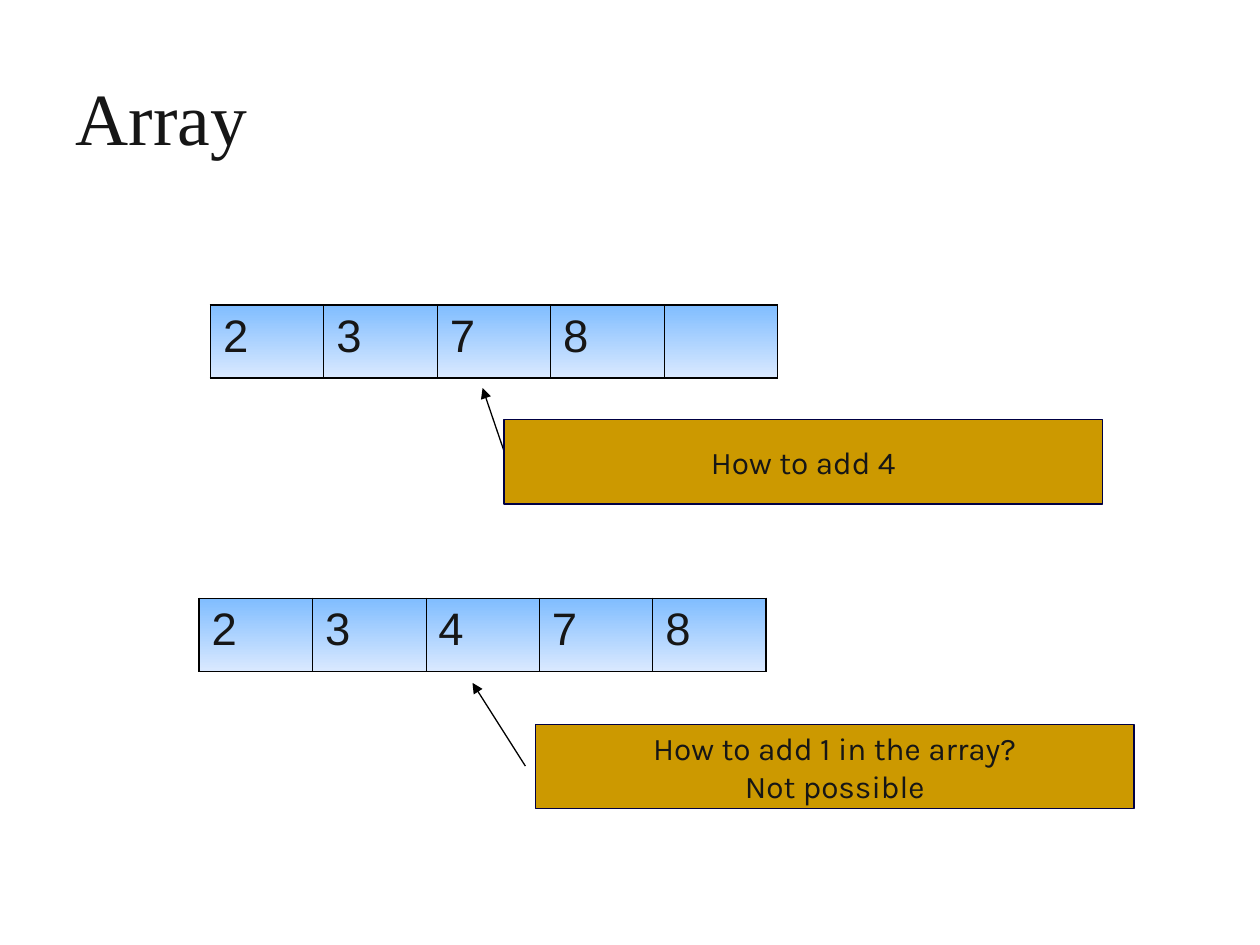
from dataclasses import dataclass

from lxml.etree import SubElement
from pptx import Presentation
from pptx.dml.color import RGBColor
from pptx.enum.shapes import MSO_CONNECTOR as Connector, MSO_SHAPE as Preset
from pptx.enum.text import MSO_ANCHOR as Anchor, PP_ALIGN as Align
from pptx.oxml import parse_xml
from pptx.oxml.ns import nsdecls, qn
from pptx.slide import Slide
from pptx.util import Inches, Pt


@dataclass(frozen=True)
class Theme:
    """Colours, fonts and sizes in points."""
    ink: str = "161616"
    line: str = "000000"
    cell_top: str = "80BDFF"
    cell_bottom: str = "DAE9FF"
    callout: str = "CC9900"
    callout_line: str = "000043"
    title_font: str = "Times New Roman"
    cell_font: str = "Arial"
    callout_font: str = "Karla"
    title_size: float = 42
    cell_size: float = 26
    callout_size: float = 18
    thin: float = 0.74
    inner_border: float = 0.45
    outer_border: float = 1.08


@dataclass(frozen=True)
class ArrayStep:
    """One array with its arrow and callout; lengths in inches."""
    values: tuple[str, ...]
    array_at: tuple[float, float]
    arrow_from: tuple[float, float]
    arrow_to: tuple[float, float]
    callout_at: tuple[float, float]
    callout_text: str


THEME = Theme()
CELL_WIDTH, CELL_HEIGHT = 0.9, 0.58
CALLOUT_WIDTH, CALLOUT_HEIGHT = 4.75, 0.67
STEPS = (
    ArrayStep(("2", "3", "7", "8", ""), (1.67, 2.42), (4, 3.58), (3.83, 3.08),
              (4, 3.33), "How to add 4"),
    ArrayStep(("2", "3", "4", "7", "8"), (1.58, 4.75), (4.17, 6.08), (3.75, 5.42),
              (4.25, 5.75), "How to add 1 in the array?\nNot possible"),
)


def rgb(code: str) -> RGBColor:
    """Turn a hex code into a colour."""
    return RGBColor.from_string(code)


def format_text(text_frame, font_name: str, size: float, align: Align) -> None:
    """Format every paragraph and run of a text frame."""
    for paragraph in text_frame.paragraphs:
        paragraph.alignment = align
        for run in paragraph.runs:
            run.font.name = font_name
            run.font.size = Pt(size)
            run.font.bold = False
            run.font.color.rgb = rgb(THEME.ink)


def add_title(slide: Slide, text: str) -> None:
    """Fill and place the title placeholder."""
    title = slide.shapes.title
    title.left, title.top = Inches(0.5), Inches(0.3)
    title.width, title.height = Inches(9), Inches(1.25)
    title.text_frame.text = text
    title.text_frame.vertical_anchor = Anchor.MIDDLE
    format_text(title.text_frame, THEME.title_font, THEME.title_size, Align.LEFT)


def set_borders(cell, is_first: bool, is_last: bool) -> None:
    """Draw the cell borders, heavier on the outside of the array."""
    properties = cell._tc.get_or_add_tcPr()
    sides = (("L", is_first), ("R", is_last), ("T", True), ("B", True))
    for index, (side, is_outer) in enumerate(sides):
        width = Pt(THEME.outer_border if is_outer else THEME.inner_border)
        properties.insert(index, parse_xml(
            f'<a:ln{side} {nsdecls("a")} w="{width}"><a:solidFill>'
            f'<a:srgbClr val="{THEME.line}"/></a:solidFill></a:ln{side}>'))


def add_array(slide: Slide, step: ArrayStep) -> None:
    """Add the array as a table of one row."""
    count = len(step.values)
    left, top = map(Inches, step.array_at)
    table = slide.shapes.add_table(1, count, left, top, Inches(CELL_WIDTH * count),
                                   Inches(CELL_HEIGHT)).table
    table.first_row = table.horz_banding = False
    for index, value in enumerate(step.values):
        cell = table.cell(0, index)
        cell.text_frame.text = value
        cell.text_frame.paragraphs[0].space_before = Pt(6.5)
        format_text(cell.text_frame, THEME.cell_font, THEME.cell_size, Align.LEFT)
        cell.fill.gradient()
        cell.fill.gradient_angle = 270
        for stop, color in zip(cell.fill.gradient_stops,
                               (THEME.cell_top, THEME.cell_bottom)):
            stop.color.rgb = rgb(color)
        set_borders(cell, index == 0, index == count - 1)


def add_arrow(slide: Slide, step: ArrayStep) -> None:
    """Add the arrow from the callout to the array."""
    ends = map(Inches, step.arrow_from + step.arrow_to)
    arrow = slide.shapes.add_connector(Connector.STRAIGHT, *ends)
    arrow.line.color.rgb = rgb(THEME.line)
    arrow.line.width = Pt(THEME.thin)
    SubElement(arrow.line._get_or_add_ln(), qn("a:tailEnd"), type="triangle")
    SubElement(arrow._element.spPr, qn("a:effectLst"))


def add_callout(slide: Slide, step: ArrayStep) -> None:
    """Add the box with the question."""
    left, top = map(Inches, step.callout_at)
    box = slide.shapes.add_shape(Preset.RECTANGLE, left, top, Inches(CALLOUT_WIDTH),
                                 Inches(CALLOUT_HEIGHT))
    box.shadow.inherit = False
    box.fill.solid()
    box.fill.fore_color.rgb = rgb(THEME.callout)
    box.line.color.rgb = rgb(THEME.callout_line)
    box.line.width = Pt(THEME.thin)
    box.text_frame.text = step.callout_text
    box.text_frame.word_wrap = False
    box.text_frame.vertical_anchor = Anchor.MIDDLE
    format_text(box.text_frame, THEME.callout_font, THEME.callout_size, Align.CENTER)


def main() -> None:
    """Build and save the presentation."""
    presentation = Presentation()
    presentation.slide_width, presentation.slide_height = Inches(10), Inches(7.5)
    slide = presentation.slides.add_slide(presentation.slide_layouts[5])
    add_title(slide, "Array")
    for step in STEPS:
        add_array(slide, step)
        add_arrow(slide, step)
        add_callout(slide, step)
    presentation.save("out.pptx")


main()
